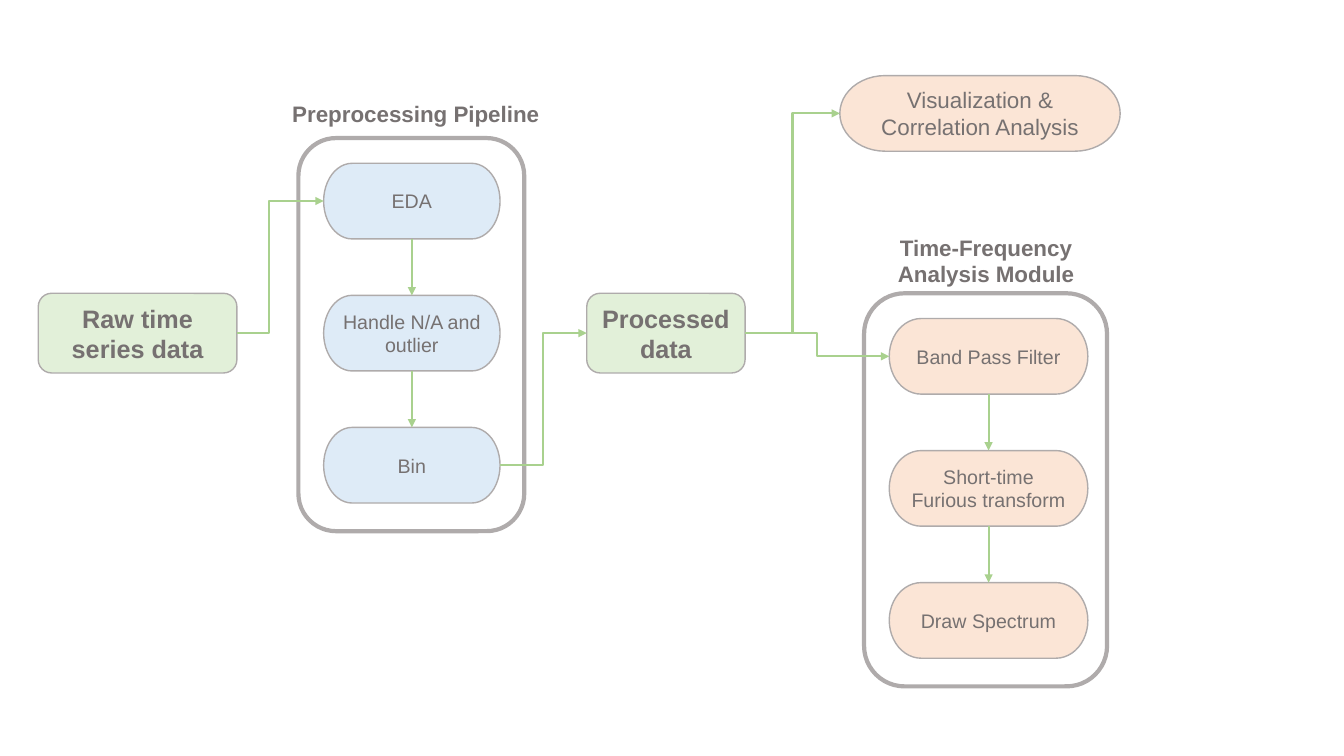
import pptx
import pptx.dml.color
import pptx.enum.shapes
import pptx.enum.text
import pptx.oxml.ns
import pptx.util

Inches = pptx.util.Inches
Pt = pptx.util.Pt
Color = pptx.dml.color.RGBColor
Kind = pptx.enum.shapes.MSO_SHAPE
Link = pptx.enum.shapes.MSO_CONNECTOR
Align = pptx.enum.text.PP_ALIGN
Anchor = pptx.enum.text.MSO_ANCHOR
Fit = pptx.enum.text.MSO_AUTO_SIZE
tag = pptx.oxml.ns.qn

GREEN = Color(0xE2, 0xF0, 0xD9)
BLUE = Color(0xDE, 0xEB, 0xF7)
PEACH = Color(0xFB, 0xE5, 0xD6)
EDGE = Color(0xAF, 0xAB, 0xAB)
ARROW = Color(0xA9, 0xD1, 0x8E)
INK = Color(0x76, 0x71, 0x71)

FONT = "Arial"
STEP_H = 0.75
PITCH = 1.31
PAD = 0.25
TOP, LEFT, BOTTOM, RIGHT = range(4)  # connection sites of a shape


class Flow:
    """Flow chart style and the slide it is drawn on."""

    def __init__(self, slide):
        """Keep the shapes of the slide."""
        self.shapes = slide.shapes

    def label(self, frame, text, size, bold, align=Align.CENTER):
        """Put one styled paragraph in a text frame."""
        frame.word_wrap = True
        frame.text = text
        para = frame.paragraphs[0]
        para.alignment = align
        font = para.runs[0].font
        font.name, font.size, font.bold = FONT, Pt(size), bold
        font.color.rgb = INK

    def outline(self, kind, area, width):
        """Add an unfilled shape with a grey edge."""
        shape = self.shapes.add_shape(kind, *map(Inches, area))
        shape.shadow.inherit = False
        shape.fill.background()
        shape.line.color.rgb = EDGE
        shape.line.width = Pt(width)
        return shape

    def node(self, kind, area, text, fill, size, bold=False):
        """Add a filled shape with centred text."""
        shape = self.outline(kind, area, 1)
        shape.fill.solid()
        shape.fill.fore_color.rgb = fill
        shape.text_frame.vertical_anchor = Anchor.MIDDLE
        self.label(shape.text_frame, text, size, bold)
        return shape

    def data(self, left, width, text):
        """Add a green data box on the main row."""
        area = (left, 2.91, width, 0.79)
        return self.node(Kind.ROUNDED_RECTANGLE, area, text, GREEN, 18, True)

    def step(self, area, text, fill, size=14):
        """Add a process step with round ends."""
        return self.node(Kind.FLOWCHART_TERMINATOR, area, text, fill, size)

    def title(self, area, text, align):
        """Add a bold heading over a panel."""
        box = self.shapes.add_textbox(*map(Inches, area))
        self.label(box.text_frame, text, 16, True, align)
        box.text_frame.auto_size = Fit.SHAPE_TO_FIT_TEXT

    def arrow(self, start, end, kind=Link.ELBOW, sites=(RIGHT, LEFT), bend=None):
        """Join two shapes with an arrow, bent at a share of its width."""
        link = self.shapes.add_connector(kind, 0, 0, 0, 0)
        link.begin_connect(start, sites[0])
        link.end_connect(end, sites[1])
        link.line.color.rgb = ARROW
        link.line.width = Pt(1.5)
        props = link._element.spPr
        line = props.find(tag("a:ln"))
        line.append(line.makeelement(tag("a:tailEnd"), {"type": "triangle"}))
        props.append(props.makeelement(tag("a:effectLst"), {}))
        if bend is not None:
            guide = {"name": "adj1", "fmla": f"val {round(bend * 100000)}"}
            values = props.find(tag("a:prstGeom")).get_or_add_avLst()
            values.append(values.makeelement(tag("a:gd"), guide))

    def module(self, area, texts, fill, width):
        """Add a panel with a column of steps joined by arrows."""
        self.outline(Kind.ROUNDED_RECTANGLE, area, 3)
        left, top = area[0] + PAD, area[1] + PAD
        steps = [
            self.step((left, top + row * PITCH, width, STEP_H), text, fill)
            for row, text in enumerate(texts)
        ]
        for start, end in zip(steps, steps[1:]):
            self.arrow(start, end, Link.STRAIGHT, (BOTTOM, TOP))
        return steps


def main():
    """Build the slide and save it."""
    deck = pptx.Presentation()
    deck.slide_width, deck.slide_height = Inches(13.33), Inches(7.5)
    flow = Flow(deck.slides.add_slide(deck.slide_layouts[6]))

    raw = flow.data(0.38, 1.97, "Raw time series data")
    done = flow.data(5.82, 1.57, "Processed data")
    view = flow.step((8.33, 0.75, 2.78, STEP_H),
                     "Visualization & Correlation Analysis", PEACH, 16)

    flow.title((2.8, 0.94, 3.02, 0.37), "Preprocessing Pipeline", Align.LEFT)
    prep = flow.module((2.96, 1.37, 2.24, 3.9),
                       ("EDA", "Handle N/A and outlier", "Bin"), BLUE, 1.75)

    flow.title((8.6, 2.27, 2.36, 0.64), "Time-Frequency Analysis Module", Align.CENTER)
    study = flow.module((8.57, 2.91, 2.41, 3.9),
                        ("Band Pass Filter", "Short-time Furious transform",
                         "Draw Spectrum"), PEACH, 1.97)

    flow.arrow(raw, prep[0], bend=0.37)
    flow.arrow(prep[-1], done, bend=0.5)
    flow.arrow(done, study[0], bend=0.5)
    flow.arrow(done, view, bend=0.5)

    deck.save("out.pptx")


main()
